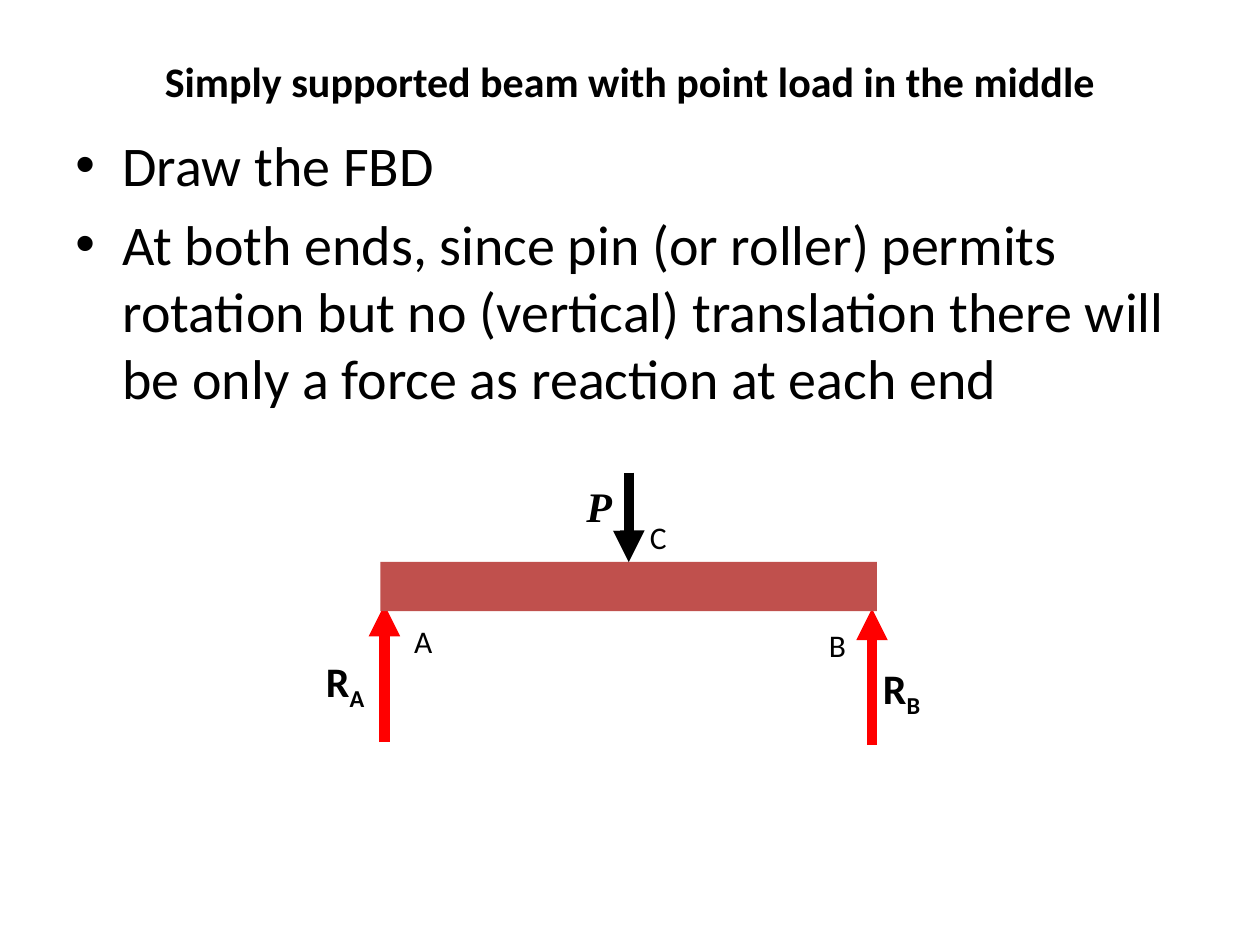
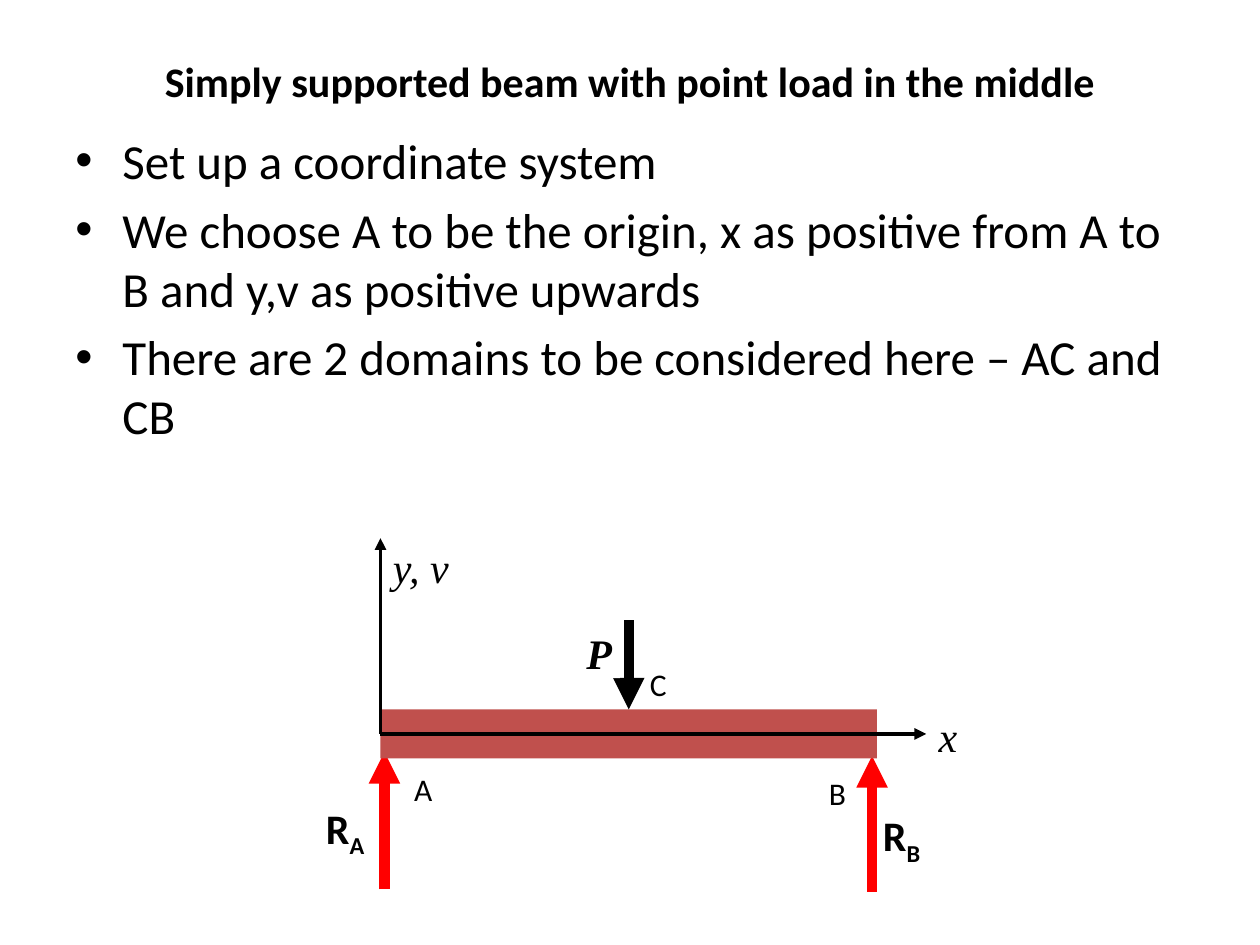
from dataclasses import dataclass

from lxml.etree import SubElement
from pptx import Presentation
from pptx.dml.color import RGBColor
from pptx.enum.shapes import MSO_CONNECTOR, MSO_SHAPE
from pptx.enum.text import MSO_ANCHOR, MSO_AUTO_SIZE, PP_ALIGN
from pptx.oxml.ns import qn
from pptx.shapes.autoshape import Shape
from pptx.shapes.connector import Connector
from pptx.slide import Slide
from pptx.util import Cm, Pt

BLACK = RGBColor(0, 0, 0)
WHITE = RGBColor(255, 255, 255)
RED = RGBColor(255, 0, 0)
BRICK = RGBColor(0xC0, 0x50, 0x4D)

SANS = "Calibri"
SERIF = "Times New Roman"
TITLE = "Simply supported beam with point load in the middle"

BEAM_LEFT, BEAM_WIDTH, BEAM_HEIGHT = 7.67, 10.01, 0.99
FORCE_WIDTH, AXIS_WIDTH = 6, 2.25


@dataclass(frozen=True)
class Label:
    """Text near the beam; y is measured down from the beam's top."""
    text: str
    x: float
    y: float
    width: float = 0.99
    height: float = 1.02
    sub: str = ""
    size: int = 18
    font: str = SANS
    bold: bool = False
    slant: bool = False


@dataclass(frozen=True)
class Arrow:
    """Line with a head; y values are measured down from the beam's top."""
    x: float
    y: float
    end_x: float
    end_y: float
    color: RGBColor = BLACK
    width: float = FORCE_WIDTH


REACTIONS = (
    Arrow(7.75, 3.63, 7.75, 0.86, RED),
    Arrow(17.58, 3.68, 17.58, 0.94, RED),
)
MID = BEAM_LEFT + BEAM_WIDTH / 2
LOAD = Arrow(MID, -1.8, MID, 0)
LOAD_LABEL = Label("P", 11.61, -1.65, 0.89, size=24, font=SERIF, bold=True, slant=True)
LABELS = (
    Label("R", 6.32, 1.75, 1.5, 1.19, sub="A", size=24, bold=True),
    Label("R", 17.55, 1.9, 1.5, 1.27, sub="B", size=24, bold=True),
    Label("A", 8.1, 1.09),
    Label("B", 16.46, 1.17),
    Label("C", 12.85, -1.02),
)
AXIS_Y = BEAM_HEIGHT / 2
AXES = (
    Arrow(BEAM_LEFT, AXIS_Y, BEAM_LEFT, -3.45, width=AXIS_WIDTH),
    Arrow(BEAM_LEFT, AXIS_Y, 18.67, AXIS_Y, width=AXIS_WIDTH),
)
AXIS_LABELS = (
    Label("y, v", 7.67, -3.5, 2.01, 1.19, size=24, font=SERIF, slant=True),
    Label("x", 18.67, -0.1, 0.99, 1.27, size=24, font=SERIF, slant=True),
)


def add_run(para, text: str, size: float, font: str = SANS,
            bold: bool = False, slant: bool = False):
    run = para.add_run()
    run.text = text
    face = run.font
    face.name, face.size, face.bold, face.italic = font, Pt(size), bold, slant
    face.color.rgb = BLACK
    return run


def add_title(slide: Slide) -> None:
    title = slide.shapes.title
    title.left, title.top, title.width, title.height = Cm(1.27), Cm(0.76), Cm(22.86), Cm(1.75)
    frame = title.text_frame
    frame.auto_size = MSO_AUTO_SIZE.NONE
    frame.vertical_anchor = MSO_ANCHOR.MIDDLE
    para = frame.paragraphs[0]
    para.alignment = PP_ALIGN.CENTER
    add_run(para, TITLE, 24, bold=True)


def add_points(slide: Slide, points: tuple[str, ...], size: int) -> None:
    frame = slide.shapes.add_textbox(Cm(1.27), Cm(2.51), Cm(22.86), Cm(14.5)).text_frame
    frame.word_wrap = True
    for index, point in enumerate(points):
        para = frame.paragraphs[0] if index == 0 else frame.add_paragraph()
        props = para._p.get_or_add_pPr()
        props.set("marL", str(Cm(0.95)))
        props.set("indent", str(-Cm(0.95)))
        SubElement(props, qn("a:buFont"), typeface="Arial")
        SubElement(props, qn("a:buChar"), char="•")
        if index:
            para.space_before = Pt(size * 0.2)
        add_run(para, point, size)


def add_label(slide: Slide, label: Label, top: float) -> Shape:
    box = slide.shapes.add_textbox(
        Cm(label.x), Cm(top + label.y), Cm(label.width), Cm(label.height))
    box.text_frame.word_wrap = True
    para = box.text_frame.paragraphs[0]
    style = label.size, label.font, label.bold, label.slant
    add_run(para, label.text, *style)
    if label.sub:
        run = add_run(para, label.sub, *style)
        run._r.get_or_add_rPr().set("baseline", "-25000")
    return box


def add_arrow(slide: Slide, arrow: Arrow, top: float) -> Connector:
    line = slide.shapes.add_connector(
        MSO_CONNECTOR.STRAIGHT, Cm(arrow.x), Cm(top + arrow.y),
        Cm(arrow.end_x), Cm(top + arrow.end_y))
    line.line.color.rgb = arrow.color
    line.line.width = Pt(arrow.width)
    SubElement(line.line._get_or_add_ln(), qn("a:tailEnd"), type="triangle")
    SubElement(line._element.spPr, qn("a:effectLst"))
    return line


def add_beam(slide: Slide, top: float) -> Shape:
    """Draw the loaded beam with its reactions and return the beam."""
    for force in REACTIONS:
        add_arrow(slide, force, top)
    beam = slide.shapes.add_shape(
        MSO_SHAPE.RECTANGLE, Cm(BEAM_LEFT), Cm(top), Cm(BEAM_WIDTH), Cm(BEAM_HEIGHT))
    beam.shadow.inherit = False
    beam.fill.solid()
    beam.fill.fore_color.rgb = BRICK
    beam.line.fill.background()
    add_arrow(slide, LOAD, top).end_connect(beam, 0)

    load = add_label(slide, LOAD_LABEL, top)
    load.fill.solid()
    load.fill.fore_color.rgb = WHITE
    frame = load.text_frame
    frame.margin_left = Cm(0.21)
    frame.margin_top = frame.margin_right = frame.margin_bottom = 0
    for label in LABELS:
        add_label(slide, label, top)
    return beam


def add_axes(slide: Slide, beam: Shape, top: float) -> None:
    for axis in AXES:
        add_arrow(slide, axis, top).begin_connect(beam, 1)
    for label in AXIS_LABELS:
        add_label(slide, label, top)


def add_page(deck, points: tuple[str, ...], size: int, top: float, axes: bool = False) -> None:
    slide = deck.slides.add_slide(deck.slide_layouts.get_by_name("Title Only"))
    add_title(slide)
    add_points(slide, points, size)
    beam = add_beam(slide, top)
    if axes:
        add_axes(slide, beam, top)


def main() -> None:
    deck = Presentation()
    deck.slide_width, deck.slide_height = Cm(25.4), Cm(19.05)
    add_page(deck, (
        "Draw the FBD",
        "At both ends, since pin (or roller) permits rotation but no (vertical) "
        "translation there will be only a force as reaction at each end",
    ), size=32, top=11.33)
    add_page(deck, (
        "Set up a coordinate system",
        "We choose A to be the origin, x as positive from A to B and y,v as positive upwards",
        "There are 2 domains to be considered here – AC and CB",
    ), size=28, top=14.3, axes=True)
    deck.save("out.pptx")


if __name__ == "__main__":
    main()
